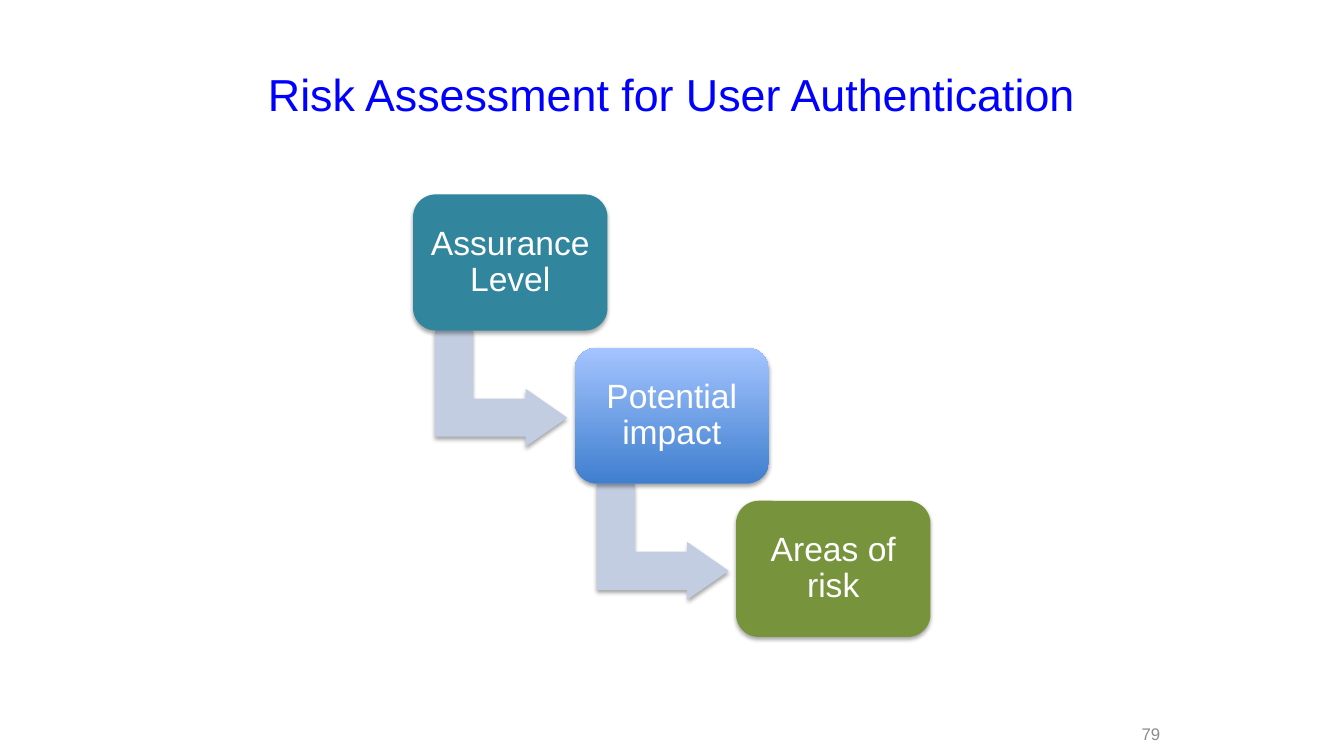
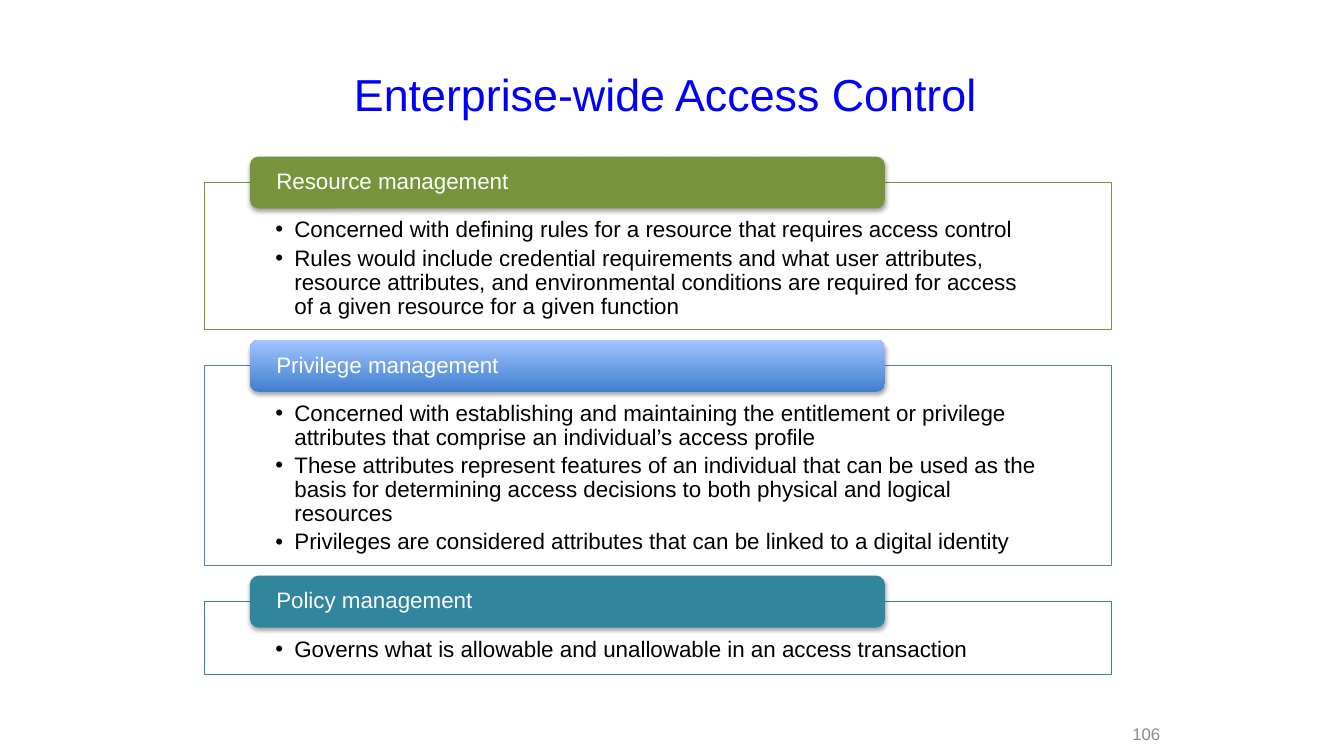
import pptx
import pptx.util
import pptx.dml.color
import pptx.enum.shapes
import pptx.enum.text
import pptx.oxml
import pptx.oxml.ns

Cm, Pt = pptx.util.Cm, pptx.util.Pt
SHAPE = pptx.enum.shapes.MSO_SHAPE
ALIGN = pptx.enum.text.PP_ALIGN
ANCHOR = pptx.enum.text.MSO_ANCHOR

# Shared look
FONT = "Arial"
TITLE_BLUE, WHITE, BLACK, GREY = "0000FF", "FFFFFF", "000000", "8C8C8C"
TEAL, GREEN, BLUE, PALE = "31859C", "77933C", "4F81BD", "C2CDE1"
BLUE_GRADIENT = ("3F7FCE", "A4C4FF")  # bottom, top

# Content
RISK_TITLE, RISK_NUMBER = "Risk Assessment for User Authentication", "79"
STEPS = [("Assurance Level", TEAL), ("Potential impact", BLUE_GRADIENT), ("Areas of risk", GREEN)]

ACCESS_TITLE, ACCESS_NUMBER = "Enterprise-wide Access Control ", "106"
PANELS = [  # heading, heading fill, outline, height in cm, bullets
    ("Resource management", GREEN, GREEN, 3.71, [
        "Concerned with defining rules for a resource that requires access control",
        "Rules would include credential requirements and what user attributes, resource "
        "attributes, and environmental conditions are required for access of a given "
        "resource for a given function",
    ]),
    ("Privilege management", BLUE_GRADIENT, BLUE, 5.03, [
        "Concerned with establishing and maintaining the entitlement or privilege "
        "attributes that comprise an individual’s access profile",
        "These attributes represent features of an individual that can be used as the "
        "basis for determining access decisions to both physical and logical resources",
        "Privileges are considered attributes that can be linked to a digital identity",
    ]),
    ("Policy management", TEAL, TEAL, 1.85, [
        "Governs what is allowable and unallowable in an access transaction",
    ]),
]


def rgb(color):
    return pptx.dml.color.RGBColor.from_string(color)


def add_xml(parent, tag, **attrs):
    el = pptx.oxml.parse_xml(f"<a:{tag} {pptx.oxml.ns.nsdecls('a')}/>")
    for name, value in attrs.items():
        el.set(name, str(value))
    parent.append(el)
    return el


def write(sp, *texts, size, color, align=ALIGN.LEFT, anchor=ANCHOR.MIDDLE,
          insets=(0.25, 0.13, 0.25, 0.13), spacing=1.0, after=0, bullet=None, indent=0.48):
    """Fill a shape with paragraphs; insets are left, top, right, bottom in cm."""
    tf = sp.text_frame
    tf.word_wrap = True
    tf.vertical_anchor = anchor
    tf.margin_left, tf.margin_top, tf.margin_right, tf.margin_bottom = map(Cm, insets)
    for i, text in enumerate(texts):
        p = tf.add_paragraph() if i else tf.paragraphs[0]
        if bullet:
            pPr = p._p.get_or_add_pPr()
            pPr.set("marL", str(Cm(indent)))
            pPr.set("indent", str(-Cm(indent)))
            add_xml(pPr, "buFont", typeface=FONT)
            add_xml(pPr, "buChar", char=bullet)
        p.alignment, p.line_spacing, p.space_after = align, spacing, Pt(after)
        r = p.add_run()
        r.text = text
        r.font.name, r.font.size = FONT, Pt(size)
        r.font.color.rgb = rgb(color)


def add_box(s, kind, x, y, w, h, fill, line=None, shadow=True):
    sp = s.shapes.add_shape(kind, Cm(x), Cm(y), Cm(w), Cm(h))
    if isinstance(fill, tuple):
        sp.fill.gradient()
        sp.fill.gradient_angle = 90
        for stop, color in zip(sp.fill.gradient_stops, fill):
            stop.color.rgb = rgb(color)
    else:
        sp.fill.solid()
        sp.fill.fore_color.rgb = rgb(fill)
    if line:
        sp.line.color.rgb = rgb(line)
        sp.line.width = Pt(0.75)
    else:
        sp.line.fill.background()
    sp.shadow.inherit = False
    if shadow:
        effects = sp._element.spPr.find(pptx.oxml.ns.qn("a:effectLst"))
        outer = add_xml(effects, "outerShdw", blurRad=Pt(3.1), dist=Pt(1.8),
                        dir=5400000, rotWithShape=0)
        add_xml(add_xml(outer, "srgbClr", val=BLACK), "alpha", val=35000)
    return sp


def add_slide(prs, title, number):
    s = prs.slides.add_slide(prs.slide_layouts[6])
    box = s.shapes.add_textbox(Cm(1.69), Cm(0.76), Cm(30.48), Cm(3.18))
    write(box, title, size=32, color=TITLE_BLUE, align=ALIGN.CENTER)
    box = s.shapes.add_textbox(Cm(27.76), Cm(18.29), Cm(1.73), Cm(0.38))
    write(box, number, size=12, color=GREY, align=ALIGN.RIGHT)
    return s


def build_risk(prs):
    s = add_slide(prs, RISK_TITLE, RISK_NUMBER)
    for i, (label, fill) in enumerate(STEPS):
        x, y = 10.41 + i * 4.07, 4.9 + i * 3.86
        # Bent arrow to the next step, behind the box
        if i < len(STEPS) - 1:
            arrow = add_box(s, SHAPE.BENT_UP_ARROW, x + 0.76, y + 3.23, 2.92, 3.33, PALE)
            arrow.rotation = 90
            for k, value in enumerate((0.33, 0.25, 0.36)):
                arrow.adjustments[k] = value
        box = add_box(s, SHAPE.ROUNDED_RECTANGLE, x, y, 4.9, 3.43, fill)
        write(box, label, size=24, color=WHITE, align=ALIGN.CENTER,
              insets=(0.25,) * 4, spacing=0.9)


def build_access(prs):
    s = add_slide(prs, ACCESS_TITLE, ACCESS_NUMBER)
    y, gap, head_h = 4.6, 0.91, 1.31
    for heading, fill, outline, height, bullets in PANELS:
        panel = add_box(s, SHAPE.RECTANGLE, 5.16, y, 22.86, height, WHITE, outline, shadow=False)
        write(panel, *bullets, size=16, color=BLACK, anchor=ANCHOR.TOP,
              insets=(1.78, 0.91, 1.78, 0.3), spacing=0.9, after=2.8, bullet="•")
        # Heading centred on the panel's top edge
        head = add_box(s, SHAPE.ROUNDED_RECTANGLE, 6.3, y - head_h / 2, 16, head_h, fill)
        write(head, heading, size=16, color=WHITE, insets=(0.6, 0, 0.6, 0), spacing=0.9)
        y += height + gap


def main():
    prs = pptx.Presentation()
    prs.slide_width, prs.slide_height = Cm(33.87), Cm(19.05)
    build_risk(prs)
    build_access(prs)
    prs.save("out.pptx")


if __name__ == "__main__":
    main()
